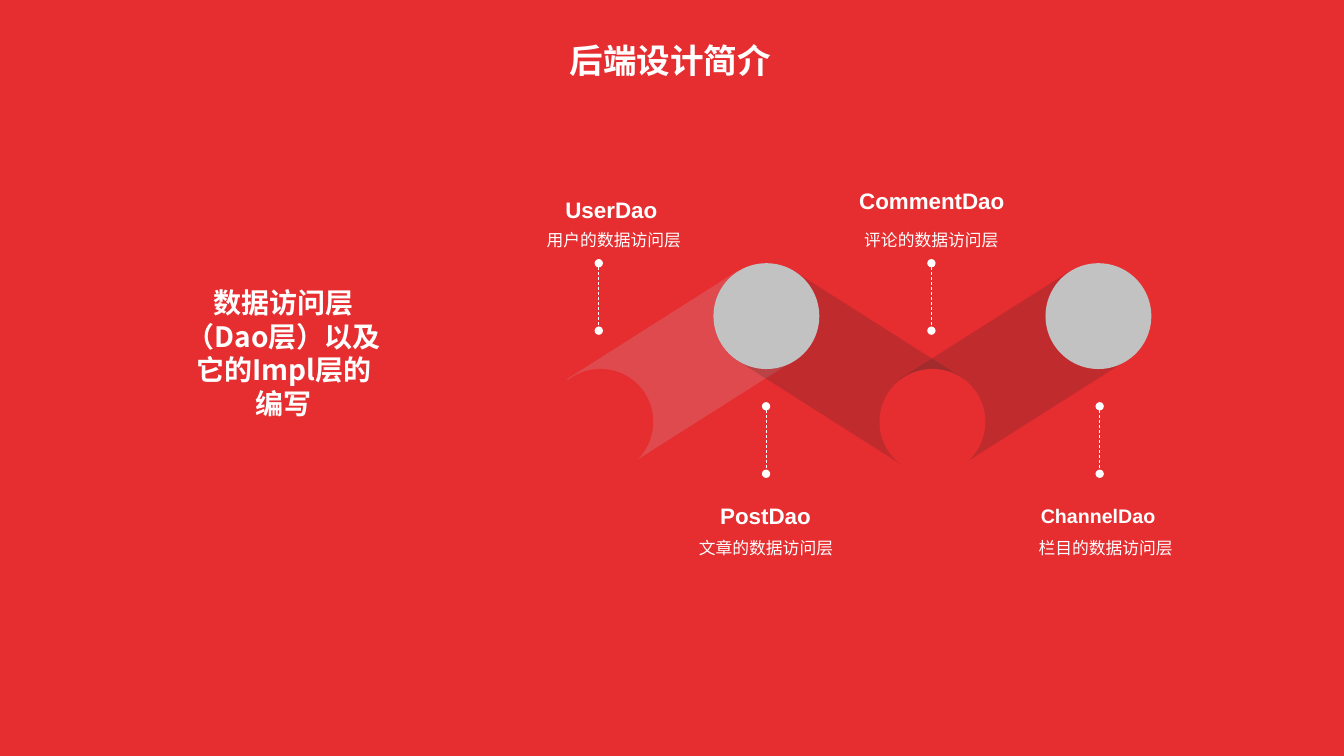
"""Build the slide that introduces the four data access objects of the back end."""
from dataclasses import dataclass

from lxml import etree
from pptx import Presentation
from pptx.dml.color import RGBColor
from pptx.enum.dml import MSO_LINE_DASH_STYLE
from pptx.enum.shapes import MSO_CONNECTOR, MSO_SHAPE
from pptx.enum.text import MSO_ANCHOR, MSO_AUTO_SIZE, PP_ALIGN
from pptx.oxml.ns import qn
from pptx.shapes.autoshape import Shape
from pptx.slide import Slide
from pptx.util import Pt

RED = RGBColor(0xE6, 0x2D, 0x30)
GRAY = RGBColor(0xC2, 0xC2, 0xC2)
DARK = RGBColor(0x29, 0x29, 0x29)
WHITE = RGBColor(0xFF, 0xFF, 0xFF)

RECTANGLE = MSO_SHAPE.RECTANGLE
OVAL = MSO_SHAPE.OVAL
STRAIGHT = MSO_CONNECTOR.STRAIGHT
DASH = MSO_LINE_DASH_STYLE.DASH
CENTER = PP_ALIGN.CENTER
TOP = MSO_ANCHOR.TOP
MIDDLE = MSO_ANCHOR.MIDDLE
NO_AUTO_SIZE = MSO_AUTO_SIZE.NONE
TITLE_ONLY = 5

LATIN = "Arial"
CHINESE = "Noto Sans CJK SC"

DIAMETER = 75.6
CIRCLE_LEFT, CIRCLE_PITCH = 391, 118.6
UPPER_CIRCLE_TOP, LOWER_CIRCLE_TOP = 188, 263.5
BAND_TOP, BAND_LENGTH = 191.5, 144.7
BAND_OPACITY = 20
UPPER_LINE_TOP, LOWER_LINE_TOP, LINE_LENGTH = 188, 290.2, 48.2
UPPER_DETAIL_TOP, LOWER_DETAIL_TOP = 161.3, 381.6


@dataclass(frozen=True)
class Band:
    left: float
    rotation: float
    color: RGBColor


@dataclass(frozen=True)
class Box:
    left: float
    top: float
    width: float
    height: float


@dataclass(frozen=True)
class Layer:
    name: str
    detail: str
    name_left: float
    name_top: float
    name_size: float
    detail_left: float
    line_x: float


BANDS = [
    Band(686.2, 57.6, DARK),
    Band(448.6, 57.6, GRAY),
    Band(569.5, 302.4, DARK),
]

LAYERS = [
    Layer("UserDao", "用户的数据访问层", 347.8, 138.2, 16, 376.6, 427.7),
    Layer("PostDao", "文章的数据访问层", 457.9, 357.1, 16, 485.3, 547.2),
    Layer("CommentDao", "评论的数据访问层", 576.7, 131.8, 16, 603.4, 665.3),
    Layer("ChannelDao", "栏目的数据访问层", 695.5, 357.1, 14, 727.9, 785.5),
]


def place(shape: Shape, box: Box) -> None:
    """Move and size a shape."""
    shape.left, shape.top = Pt(box.left), Pt(box.top)
    shape.width, shape.height = Pt(box.width), Pt(box.height)


def write(shape: Shape, text: str, size: float, font: str, bold: bool, anchor: MSO_ANCHOR) -> None:
    """Set one centred white paragraph in a shape."""
    frame = shape.text_frame
    frame.text = text
    frame.word_wrap = True
    frame.auto_size = NO_AUTO_SIZE
    frame.vertical_anchor = anchor
    paragraph = frame.paragraphs[0]
    paragraph.alignment = CENTER
    for run in paragraph.runs:
        run.font.size = Pt(size)
        run.font.bold = bold
        run.font.name = font
        run.font.color.rgb = WHITE
        properties = run.font._element
        east_asian = etree.Element(qn("a:ea"), typeface=CHINESE)
        properties.find(qn("a:latin")).addnext(east_asian)


def add_text(slide: Slide, box: Box, text: str, size: float, font: str, bold: bool = True,
             anchor: MSO_ANCHOR = MIDDLE) -> Shape:
    """Add a text box with one paragraph."""
    shape = slide.shapes.add_textbox(0, 0, 0, 0)
    place(shape, box)
    write(shape, text, size, font, bold, anchor)
    return shape


def add_filled(slide: Slide, kind: MSO_SHAPE, box: Box, color: RGBColor) -> Shape:
    """Add a plain shape without outline or shadow."""
    shape = slide.shapes.add_shape(kind, 0, 0, 0, 0)
    place(shape, box)
    shape.shadow.inherit = False
    shape.fill.solid()
    shape.fill.fore_color.rgb = color
    shape.line.fill.background()
    return shape


def add_band(slide: Slide, band: Band) -> None:
    """Add a translucent slanted band."""
    box = Box(band.left, BAND_TOP, DIAMETER, BAND_LENGTH)
    shape = add_filled(slide, RECTANGLE, box, band.color)
    shape.rotation = band.rotation
    color = shape._element.spPr.find(qn("a:solidFill"))[0]
    etree.SubElement(color, qn("a:alpha"), val=str(BAND_OPACITY * 1000))


def add_dotted_line(slide: Slide, x: float, top: float) -> None:
    """Add a vertical dashed line with a dot at each end."""
    connector = slide.shapes.add_connector(STRAIGHT, Pt(x), Pt(top), Pt(x), Pt(top + LINE_LENGTH))
    connector.line.color.rgb = WHITE
    connector.line.width = Pt(0.5)
    connector.line.dash_style = DASH
    outline = connector.line._get_or_add_ln()
    for end in ("a:headEnd", "a:tailEnd"):
        etree.SubElement(outline, qn(end), type="oval")
    etree.SubElement(connector._element.spPr, qn("a:effectLst"))


def add_label(slide: Slide, layer: Layer, detail_top: float) -> None:
    """Add the name of a layer and the line that explains it."""
    name_box = Box(layer.name_left, layer.name_top, 177.8, 23)
    add_text(slide, name_box, layer.name, layer.name_size, LATIN)
    detail_box = Box(layer.detail_left, detail_top, 123.8, 17.3)
    detail = add_text(slide, detail_box, layer.detail, 12, LATIN, False, TOP)
    frame = detail.text_frame
    frame.margin_left = frame.margin_right = frame.margin_top = frame.margin_bottom = 0
    frame.paragraphs[0].line_spacing = 1.2
    frame.paragraphs[0].space_before = Pt(2.4)


def main() -> None:
    """Build and save the presentation."""
    presentation = Presentation()
    presentation.slide_width, presentation.slide_height = Pt(960), Pt(540)
    slide = presentation.slides.add_slide(presentation.slide_layouts[TITLE_ONLY])
    slide.background.fill.solid()
    slide.background.fill.fore_color.rgb = RED

    title = slide.shapes.title
    place(title, Box(302.4, 25.2, 352.8, 36))
    write(title, "后端设计简介", 24, CHINESE, True, MIDDLE)
    add_text(slide, Box(126, 193.7, 153.4, 116.6), "数据访问层（Dao层）以及它的Impl层的编写", 20, CHINESE)

    for band in BANDS:
        add_band(slide, band)
    for index, layer in enumerate(LAYERS):
        label_above = index % 2 == 0
        circle_top = LOWER_CIRCLE_TOP if label_above else UPPER_CIRCLE_TOP
        circle_box = Box(CIRCLE_LEFT + index * CIRCLE_PITCH, circle_top, DIAMETER, DIAMETER)
        add_filled(slide, OVAL, circle_box, RED if label_above else GRAY)
        add_dotted_line(slide, layer.line_x, UPPER_LINE_TOP if label_above else LOWER_LINE_TOP)
        add_label(slide, layer, UPPER_DETAIL_TOP if label_above else LOWER_DETAIL_TOP)

    presentation.save("out.pptx")


if __name__ == "__main__":
    main()
